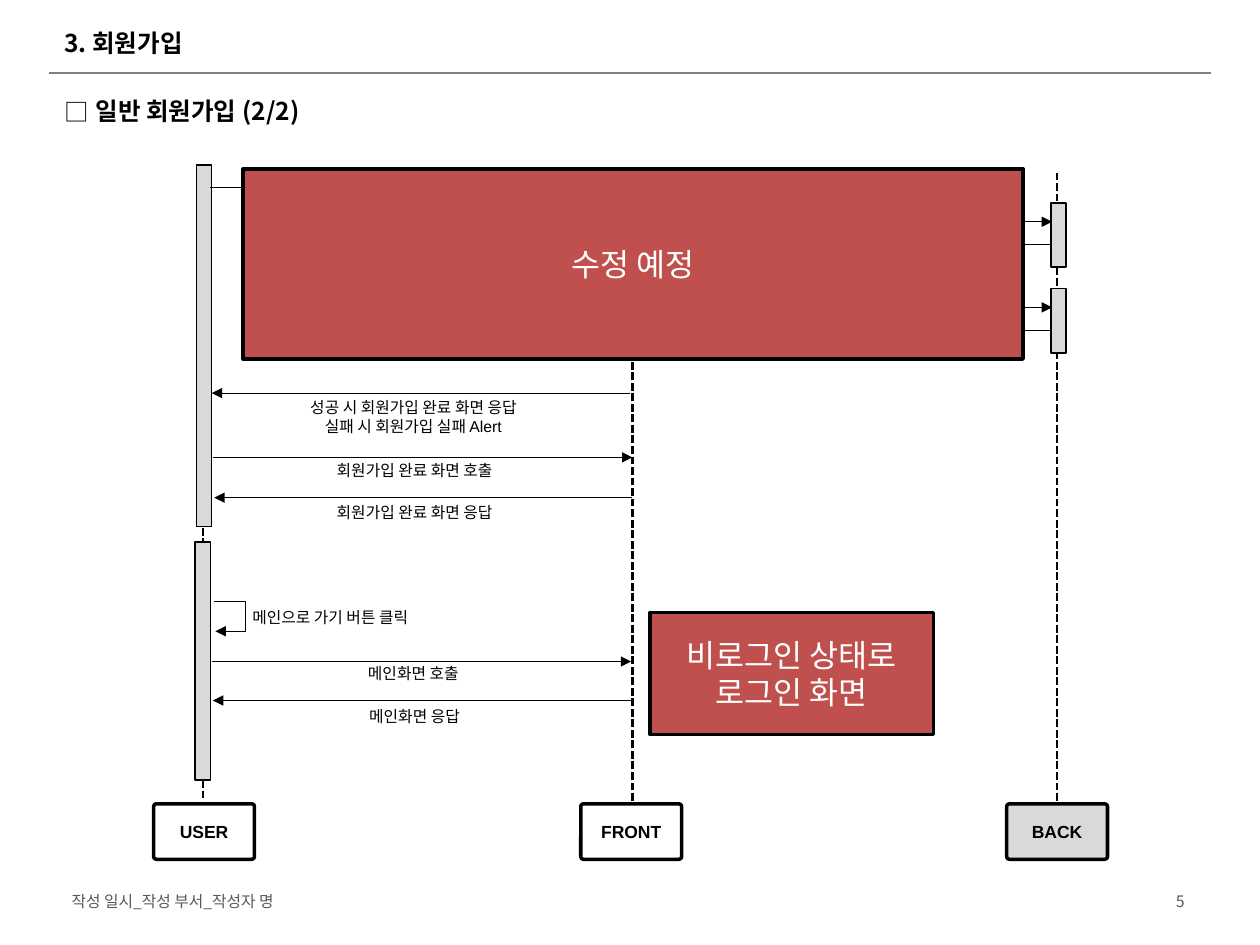
from pptx import Presentation
from pptx.dml.color import RGBColor
from pptx.enum.dml import MSO_LINE
from pptx.enum.shapes import MSO_CONNECTOR, MSO_SHAPE
from pptx.enum.text import MSO_ANCHOR, MSO_AUTO_SIZE, PP_ALIGN
from pptx.oxml.ns import qn
from pptx.util import Pt
from lxml import etree

PX = 9144  # 100 px to the inch
COLORS = {"black": "000000", "white": "FFFFFF", "rule": "808080",
          "footer": "595959", "bar": "D9D9D9", "notice": "C0504D"}
KOREAN, LATIN = "Noto Sans CJK KR", "Arial"
LEFT, CENTER, RIGHT = PP_ALIGN.LEFT, PP_ALIGN.CENTER, PP_ALIGN.RIGHT
TOP, MIDDLE = MSO_ANCHOR.TOP, MSO_ANCHOR.MIDDLE
STRAIGHT, ELBOW = MSO_CONNECTOR.STRAIGHT, MSO_CONNECTOR.ELBOW
RECT, ROUNDED = MSO_SHAPE.RECTANGLE, MSO_SHAPE.ROUNDED_RECTANGLE
DASHED = MSO_LINE.SQUARE_DOT
FIXED_SIZE = MSO_AUTO_SIZE.NONE

HEADING = {"size": Pt(14), "name": KOREAN, "bold": True}
FOOTER = {"size": Pt(9), "name": KOREAN}
LABEL = {"size": Pt(9), "name": LATIN}
ACTOR = {"size": Pt(10), "name": LATIN, "bold": True}
NOTICE = {"size": Pt(18), "name": KOREAN}


def color(name):
    return RGBColor.from_string(COLORS[name])


class SequenceSlide:
    def __init__(self, deck):
        self.page = deck.slides.add_slide(deck.slide_layouts[5])
        self.shapes = self.page.shapes

    def set_text(self, shape, text, style, ink="black", align=LEFT, anchor=MIDDLE,
                 margins=None, wrap=True):
        frame = shape.text_frame
        frame.text = text
        settings = {"word_wrap": wrap, "auto_size": FIXED_SIZE,
                    "vertical_anchor": anchor}
        if margins is not None:
            for side in ("left", "top", "right", "bottom"):
                settings["margin_" + side] = margins
        for key, value in settings.items():
            setattr(frame, key, value)
        for para in frame.paragraphs:
            para.alignment = align
            for span in para.runs:
                for key, value in style.items():
                    setattr(span.font, key, value)
                span.font.color.rgb = color(ink)
                east_asian = etree.SubElement(span.font._element, qn("a:ea"))
                east_asian.set("typeface", KOREAN)
        return frame

    def title(self, area, text):
        box = self.shapes.title
        box.left, box.top, box.width, box.height = [v * PX for v in area]
        self.set_text(box, text, HEADING)

    def text(self, area, text, style, **options):
        box = self.shapes.add_textbox(*[v * PX for v in area])
        return self.set_text(box, text, style, **options)

    def bullet(self, area, text, symbol):
        para = self.text(area, text, HEADING, anchor=TOP).paragraphs[0]
        para.line_spacing, para.space_before = 1.5, Pt(3)
        props = para._p.get_or_add_pPr()
        props.set("marL", str(25 * PX))
        props.set("indent", str(-25 * PX))
        etree.SubElement(props, qn("a:buFont")).set("typeface", KOREAN)
        etree.SubElement(props, qn("a:buChar")).set("char", symbol)

    def label(self, center, top, text):
        self.text((center - 93, top, 186, 15), text, LABEL, align=CENTER,
                  anchor=TOP, margins=0, wrap=False)

    def box(self, area, fill, weight, kind=RECT):
        shape = self.shapes.add_shape(kind, *[v * PX for v in area])
        shape.shadow.inherit = False
        shape.fill.solid()
        shape.fill.fore_color.rgb = color(fill)
        shape.line.color.rgb = color("black")
        shape.line.width = Pt(weight)
        return shape

    def actor(self, left, name, fill):
        shape = self.box((left, 638, 80, 44), fill, 2, ROUNDED)
        shape.adjustments[0] = 0.05
        frame = self.set_text(shape, name, ACTOR, align=CENTER, margins=0)
        frame.paragraphs[0].space_before = Pt(1)

    def notice(self, area, text):
        self.set_text(self.box(area, "notice", 2), text, NOTICE, "white", CENTER)

    def line(self, start, end, weight, ink="black", kind=STRAIGHT, dash=None):
        link = self.shapes.add_connector(kind, *[v * PX for v in (*start, *end)])
        link.line.color.rgb = color(ink)
        link.line.width = Pt(weight)
        if dash:
            link.line.dash_style = dash
        etree.SubElement(link._element.spPr, qn("a:effectLst"))
        return link

    def arrow(self, start, end, kind=STRAIGHT):
        link = self.line(start, end, 0.5, kind=kind)
        outline = link._element.spPr.find(qn("a:ln"))
        etree.SubElement(outline, qn("a:tailEnd")).set("type", "triangle")
        return link

    def self_arrow(self, x, top, bottom, reach):
        # The elbow is 1 px wide, so its bend is a multiple of that width
        link = self.arrow((x, top), (x + 1, bottom), ELBOW)
        geometry = link._element.spPr.find(qn("a:prstGeom"))
        guides = geometry.find(qn("a:avLst"))
        if guides is None:
            guides = etree.SubElement(geometry, qn("a:avLst"))
        guide = etree.SubElement(guides, qn("a:gd"))
        guide.set("name", "adj1")
        guide.set("fmla", f"val {reach * 100000}")


def main():
    deck = Presentation()
    deck.slide_width, deck.slide_height = 1000 * PX, 750 * PX
    slide = SequenceSlide(deck)

    # Header and footer
    slide.line((39, 58), (961, 58), 1, "rule")
    slide.title((41, 16, 911, 36), "3. 회원가입")
    slide.bullet((41, 60, 921, 55), "일반 회원가입 (2/2)", "□")
    slide.text((47, 702, 280, 26), "작성 일시_작성 부서_작성자 명", FOOTER, ink="footer")
    slide.text((717, 695, 233, 40), "5", FOOTER, ink="footer", align=RIGHT)

    # Lifelines and actors
    for x, top, left, name, fill in ((161, 135, 122, "USER", "white"),
                                     (502, 137, 461, "FRONT", "white"),
                                     (839, 137, 799, "BACK", "bar")):
        slide.line((x, top), (x, top + 500), 1.5, dash=DASHED)
        slide.actor(left, name, fill)

    # Activation bars
    for left, top, height in ((156, 131, 287), (155, 430, 189),
                              (834, 161, 51), (834, 229, 51)):
        slide.box((left, top, 12, height), "bar", 1)

    # Messages between FRONT and BACK
    for top in (176, 244):
        slide.arrow((501, top), (835, top))
        slide.arrow((835, top + 18), (500, top + 18))

    # Messages between USER and FRONT
    for start, end, y in ((167, 500, 149), (500, 168, 312), (169, 502, 363),
                          (502, 170, 395), (168, 501, 525), (501, 169, 556)):
        slide.arrow((start, y), (end, y))
    slide.self_arrow(170, 477, 501, 25)

    # Message labels
    for center, top, text in (
            (328, 316, "성공 시 회원가입 완료 화면 응답\n실패 시 회원가입 실패 Alert"),
            (329, 366, "회원가입 완료 화면 호출"),
            (329, 399, "회원가입 완료 화면 응답"),
            (262, 482, "메인으로 가기 버튼 클릭"),
            (328, 527, "메인화면 호출"),
            (329, 561, "메인화면 응답")):
        slide.label(center, top, text)

    # Notices on top
    slide.notice((516, 486, 225, 97), "비로그인 상태로 로그인 화면")
    slide.notice((193, 134, 619, 151), "수정 예정")

    deck.save("out.pptx")


if __name__ == "__main__":
    main()
